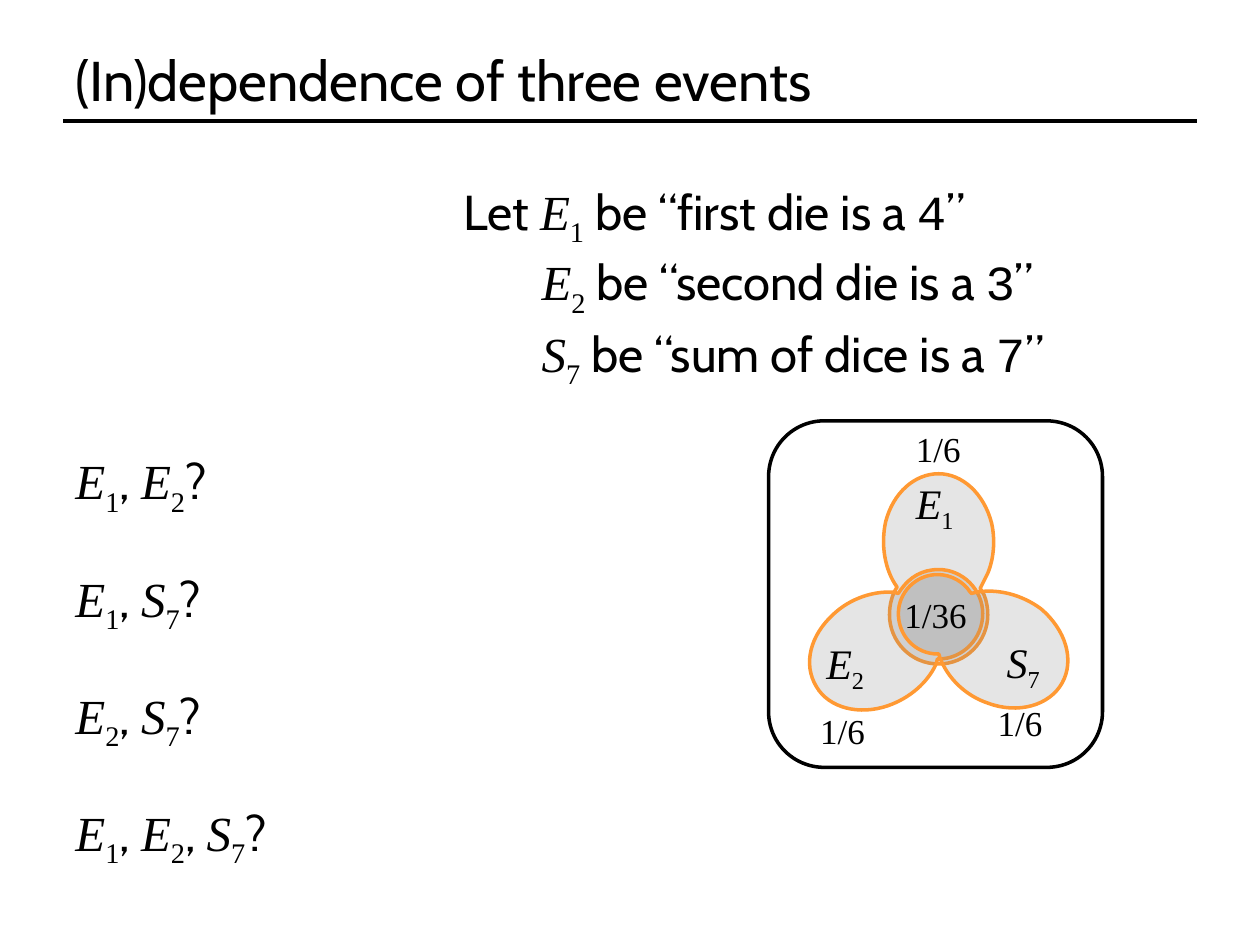
import math

from lxml import etree
from pptx import Presentation
from pptx import util as u
from pptx.dml.color import RGBColor
from pptx.enum import shapes, text
from pptx.oxml import ns

BLACK, ORANGE, GREY = "000000", "FF9933", "808080"
SANS, SERIF, MONO = "Cabin", "Times New Roman", "Courier New"
STYLES = {"*": SERIF, "_": SERIF, "#": MONO}

deck = Presentation()
deck.slide_width, deck.slide_height = u.Inches(10), u.Inches(7.5)
page = deck.slides.add_slide(deck.slide_layouts[6])
# The page is a grid of 10 columns by 7.5 rows of square cells.
cell = deck.slide_width // 10


def paint(color_format, color):
    color_format.rgb = RGBColor.from_string(color)


def add_text(left, top, width, height, markup, size, plain_font=SANS):
    """Pieces are split by |: *italic, _subscript, #monospace, or plain."""
    box = page.shapes.add_textbox(*(round(n * cell) for n in (left, top, width, height)))
    frame = box.text_frame
    frame.word_wrap = False
    frame.auto_size = text.MSO_AUTO_SIZE.SHAPE_TO_FIT_TEXT
    para = frame.paragraphs[0]
    for piece in markup.split("|"):
        mark = piece[0]
        span = para.add_run()
        span.text = piece[1:] if mark in STYLES else piece
        span.font.name = STYLES.get(mark, plain_font)
        span.font.size = u.Pt(size)
        span.font.italic = mark == "*"
        paint(span.font.color, BLACK)
        if mark == "_":
            span._r.get_or_add_rPr().set("baseline", "-25000")
    return box


# Title and rule
title = add_text(0.5, 0.3, 9, 0.66, "(In)dependence of three events", 32)
title.text_frame.auto_size = text.MSO_AUTO_SIZE.NONE
title.text_frame.word_wrap = True
title.text_frame.vertical_anchor = text.MSO_ANCHOR.MIDDLE
rule = page.shapes.add_connector(
    shapes.MSO_CONNECTOR.STRAIGHT,
    *(round(n * cell) for n in (0.5, 0.96, 9.5, 0.96)))
rule.line.width = u.Pt(2)
paint(rule.line.color, BLACK)
etree.SubElement(rule._element.spPr, ns.qn("a:effectLst"))

# Definitions of the events
for left, top, width, markup in [
        (3.58, 1.39, 4.41, "Let |*E|_1| be “first die is a |#4|”"),
        (4.2, 1.95, 4.37, "*E|_2| be “second die is a |#3|”"),
        (4.2, 2.52, 4.44, "*S|_7| be “sum of dice is a |#7|”")]:
    add_text(left, top, width, 0.57, markup, 28)

# Venn diagram: frame, turn in degrees, then a start point followed by
# lines (2 numbers) and curves (6 numbers), as they lie on the page
petals = [
    ((7.01, 3.76, 0.87, 1.51), 0, [
        (7.45, 3.76), (7.64, 3.76, 7.81, 3.92, 7.87, 4.15),
        (7.9, 4.28, 7.89, 4.43, 7.84, 4.55), (7.78, 4.67), (7.81, 4.72),
        (7.83, 4.77, 7.84, 4.82, 7.84, 4.88), (7.84, 5.09, 7.67, 5.27, 7.45, 5.27),
        (7.23, 5.27, 7.06, 5.09, 7.06, 4.88), (7.06, 4.8, 7.08, 4.72, 7.12, 4.66),
        (7.12, 4.66), (7.02, 4.52, 6.99, 4.32, 7.03, 4.14),
        (7.09, 3.91, 7.26, 3.76, 7.45, 3.76)]),
    ((6.43, 4.52, 1.38, 1.12), 0, [
        (7.45, 4.52), (7.64, 4.52, 7.8, 4.68, 7.8, 4.87),
        (7.8, 5.07, 7.64, 5.23, 7.45, 5.23), (7.44, 5.23), (7.43, 5.27),
        (7.36, 5.42, 7.22, 5.54, 7.05, 5.6), (6.82, 5.68, 6.58, 5.62, 6.48, 5.45),
        (6.37, 5.27, 6.43, 5.04, 6.62, 4.87), (6.75, 4.75, 6.93, 4.69, 7.09, 4.7),
        (7.13, 4.71), (7.15, 4.68), (7.22, 4.58, 7.32, 4.52, 7.45, 4.52)]),
    ((7.36, 4.35, 0.87, 1.44), 119.5, [
        (7.44, 4.56), (7.55, 4.56, 7.65, 4.62, 7.7, 4.7), (7.71, 4.71), (7.75, 4.7),
        (7.92, 4.67, 8.11, 4.72, 8.26, 4.83), (8.46, 5, 8.53, 5.24, 8.43, 5.42),
        (8.33, 5.6, 8.08, 5.67, 7.84, 5.58), (7.66, 5.52, 7.52, 5.38, 7.46, 5.22),
        (7.45, 5.19), (7.44, 5.19), (7.27, 5.19, 7.13, 5.05, 7.13, 4.87),
        (7.13, 4.7, 7.27, 4.56, 7.44, 4.56)]),
]
for frame, turn, segments in petals:
    left, top, width, height = frame
    anchors = [(x * cell, y * cell) for *_, x, y in segments]
    builder = page.shapes.build_freeform(*anchors[0], scale=1.0)
    builder.add_line_segments(anchors[1:], close=True)
    petal = builder.convert_to_shape()
    petal.left, petal.top, petal.width, petal.height = (round(n * cell) for n in frame)
    petal.rotation = turn

    # Redraw the outline with curves, inside the unturned frame
    outline = petal._element.find(".//" + ns.qn("a:path"))
    for child in list(outline):
        outline.remove(child)
    outline.set("w", str(petal.width))
    outline.set("h", str(petal.height))
    cos, sin = math.cos(math.radians(turn)), math.sin(math.radians(turn))
    for index, segment in enumerate(segments):
        kind = "a:moveTo" if index == 0 else "a:lnTo" if len(segment) == 2 else "a:cubicBezTo"
        stroke = etree.SubElement(outline, ns.qn(kind))
        for x, y in zip(segment[::2], segment[1::2]):
            dx, dy = x - left - width / 2, y - top - height / 2
            etree.SubElement(
                stroke, ns.qn("a:pt"),
                x=str(round((dx * cos + dy * sin + width / 2) * cell)),
                y=str(round((dy * cos - dx * sin + height / 2) * cell)))
    etree.SubElement(outline, ns.qn("a:close"))

    petal.shadow.inherit = False
    petal.fill.solid()
    paint(petal.fill.fore_color, GREY)
    tint = petal._element.spPr.find(".//" + ns.qn("a:srgbClr"))
    etree.SubElement(tint, ns.qn("a:alpha"), val="20000")
    petal.line.width = u.Pt(2)
    paint(petal.line.color, ORANGE)

for left, top, width, markup in [
        (7.17, 3.74, 0.57, "*E|_1"), (6.46, 5.01, 0.57, "*E|_2"), (7.89, 5, 0.51, "*S|_7")]:
    add_text(left, top, width, 0.5, markup, 24)
for left, top, width, chance in [
        (6.41, 5.58, 0.61, "1/6"), (7.17, 3.34, 0.61, "1/6"),
        (7.82, 5.52, 0.61, "1/6"), (7.08, 4.66, 0.74, "1/36")]:
    add_text(left, top, width, 0.44, chance, 20, SERIF)

sample_space = page.shapes.add_shape(
    shapes.MSO_SHAPE.ROUNDED_RECTANGLE,
    *(round(n * cell) for n in (6.1, 3.34, 2.65, 2.75)))
sample_space.shadow.inherit = False
sample_space.fill.background()
sample_space.line.width = u.Pt(2)
paint(sample_space.line.color, BLACK)

# Questions
questions = [
    (1.38, "*E|_1|, |*E|_2|?"),
    (1.31, "*E|_1|, |*S|_7|?"),
    (1.31, "*E|_2|, |*S|_7|?"),
    (1.9, "*E|_1|, |*E|_2|, |*S|_7|?"),
]
for row, (width, markup) in enumerate(questions):
    add_text(0.5, 3.53 + 0.93 * row, width, 0.57, markup, 28)

deck.save("out.pptx")
